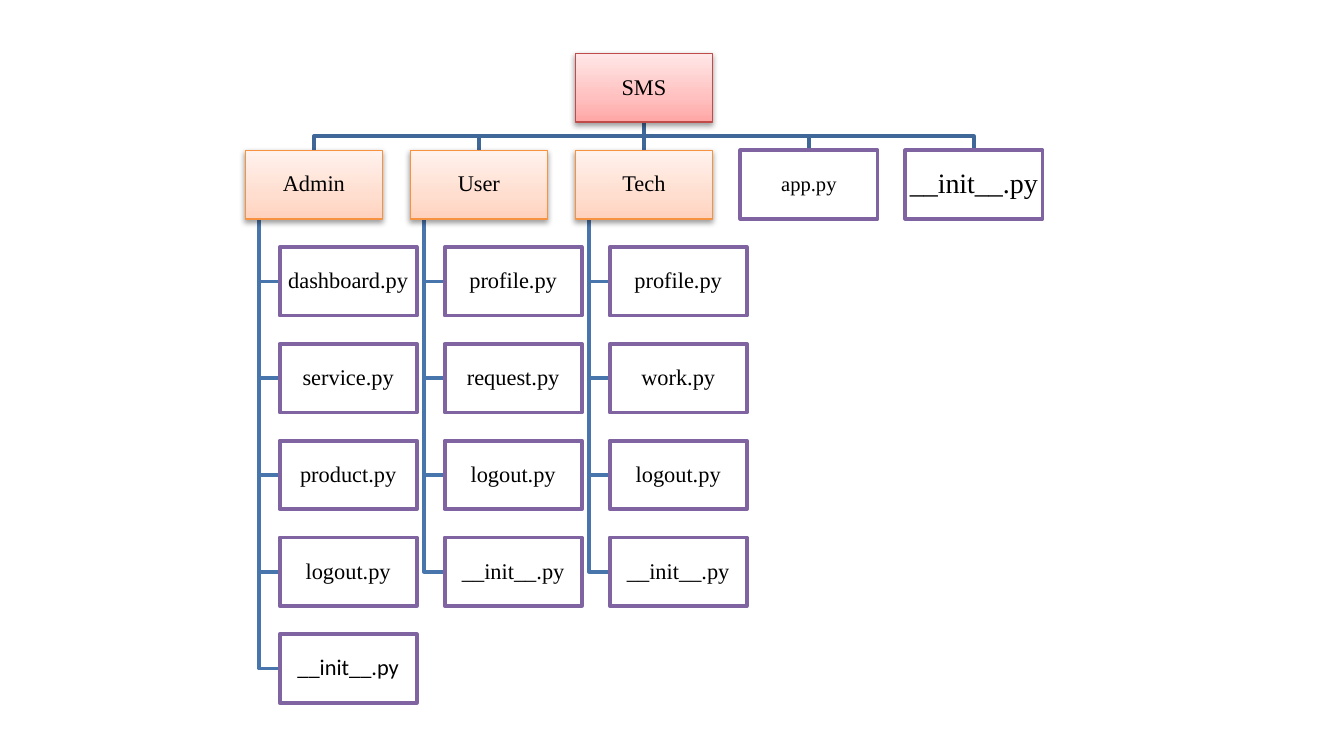
"""Draw the file hierarchy of the SMS application as an organisation chart."""
from copy import deepcopy

from lxml.etree import SubElement
from pptx import Presentation
from pptx.dml.color import RGBColor
from pptx.enum.shapes import MSO_CONNECTOR as CONNECTOR, MSO_SHAPE as SHAPE
from pptx.enum.text import MSO_ANCHOR as ANCHOR, PP_ALIGN as ALIGN
from pptx.oxml.ns import qn
from pptx.util import Pt

LEFT, TOP = 131.4, 28.7
WIDTH, HEIGHT = 73.5, 36.75
COLUMN_STEP, ROW_STEP = 88.4, 51.85
INDENT, TRUNK = 18.4, 7.35
ROOT_COLUMN = 2
SERIF = "Times New Roman"
PINK = ("FFA6A5", "FFC0BF", "FFE7E7")
ORANGE = ("FFD2BD", "FFDED0", "FFF2ED")
BRANCHES = [
    ("Admin", 12, ["dashboard.py", "service.py", "product.py", "logout.py", "__init__.py"]),
    ("User", 12, ["profile.py", "request.py", "logout.py", "__init__.py"]),
    ("Tech", 12, ["profile.py", "work.py", "logout.py", "__init__.py"]),
    ("app.py", 11, []),
    ("__init__.py", 15, []),
]


def color(value):
    return RGBColor.from_string(value)


def add_box(left, top, text, size=12, font=SERIF, line="8064A2", gradient=None):
    shape = slide.shapes.add_shape(SHAPE.RECTANGLE, Pt(left), Pt(top), Pt(WIDTH), Pt(HEIGHT))
    shape.shadow.inherit = False
    shape.line.color.rgb = color(line)
    shape.line.width = Pt(0.75 if gradient else 2)
    if gradient:
        shape.fill.gradient()
        shape.fill.gradient_angle = 90
        properties = shape._element.spPr
        stop_list = properties.find(".//" + qn("a:gsLst"))
        stop_list.insert(1, deepcopy(stop_list[0]))
        for stop, position, value in zip(shape.fill.gradient_stops, (0, 0.35, 1), gradient):
            stop.position = position
            stop.color.rgb = color(value)
        shadow = SubElement(properties.find(qn("a:effectLst")), qn("a:outerShdw"),
                            blurRad=str(Pt(3.1)), dist=str(Pt(1.6)), dir="5400000", rotWithShape="0")
        shadow_color = SubElement(shadow, qn("a:srgbClr"), val="000000")
        SubElement(shadow_color, qn("a:alpha"), val="38000")
    else:
        shape.fill.solid()
        shape.fill.fore_color.rgb = color("FFFFFF")
    frame = shape.text_frame
    frame.word_wrap = False
    frame.vertical_anchor = ANCHOR.MIDDLE
    frame.margin_left = frame.margin_right = frame.margin_top = frame.margin_bottom = Pt(0.7)
    paragraph = frame.paragraphs[0]
    paragraph.text = text
    paragraph.alignment = ALIGN.CENTER
    paragraph.line_spacing = 0.9
    paragraph.font.name = font
    paragraph.font.size = Pt(size)
    paragraph.font.color.rgb = color("000000")
    return shape


presentation = Presentation()
presentation.slide_width, presentation.slide_height = Pt(720), Pt(405)
slide = presentation.slides.add_slide(presentation.slide_layouts[6])

root_left = LEFT + ROOT_COLUMN * COLUMN_STEP
root_center, root_bottom = root_left + WIDTH / 2, TOP + HEIGHT
branch_top = TOP + ROW_STEP
branch_bottom = branch_top + HEIGHT
middle = (root_bottom + branch_top) / 2

routes = []
for column, (name, size, files) in enumerate(BRANCHES):
    left = LEFT + column * COLUMN_STEP
    center, trunk = left + WIDTH / 2, left + TRUNK
    if column != ROOT_COLUMN:
        routes.append(("3F6797", [(root_center, root_bottom), (root_center, middle),
                                  (center, middle), (center, branch_top)]))
    for row in range(len(files)):
        file_middle = branch_top + (row + 1) * ROW_STEP + HEIGHT / 2
        routes.append(("4875AC", [(trunk, branch_bottom), (trunk, file_middle),
                                  (left + INDENT, file_middle)]))

for line, points in routes:
    corners = [(Pt(x), Pt(y)) for x, y in points]
    builder = slide.shapes.build_freeform(*corners[0])
    builder.add_line_segments(corners[1:], close=False)
    route = builder.convert_to_shape()
    route.shadow.inherit = False
    route.fill.background()
    route.line.color.rgb = color(line)
    route.line.width = Pt(2)

stem = slide.shapes.add_connector(CONNECTOR.STRAIGHT, Pt(root_center), Pt(root_bottom),
                                  Pt(root_center), Pt(branch_top))
stem.line.color.rgb = color("3F6797")
stem.line.width = Pt(2)
SubElement(stem._element.spPr, qn("a:effectLst"))

root = add_box(root_left, TOP, "SMS", line="BF4C48", gradient=PINK)
stem.begin_connect(root, 2)

for column, (name, size, files) in enumerate(BRANCHES):
    left = LEFT + column * COLUMN_STEP
    if files:
        branch = add_box(left, branch_top, name, size, line="F69240", gradient=ORANGE)
    else:
        branch = add_box(left, branch_top, name, size)
    if column == ROOT_COLUMN:
        stem.end_connect(branch, 0)
    for row, file_name in enumerate(files):
        font = "Calibri" if (column, row) == (0, 4) else SERIF
        add_box(left + INDENT, branch_top + (row + 1) * ROW_STEP, file_name, font=font)

presentation.save("out.pptx")
